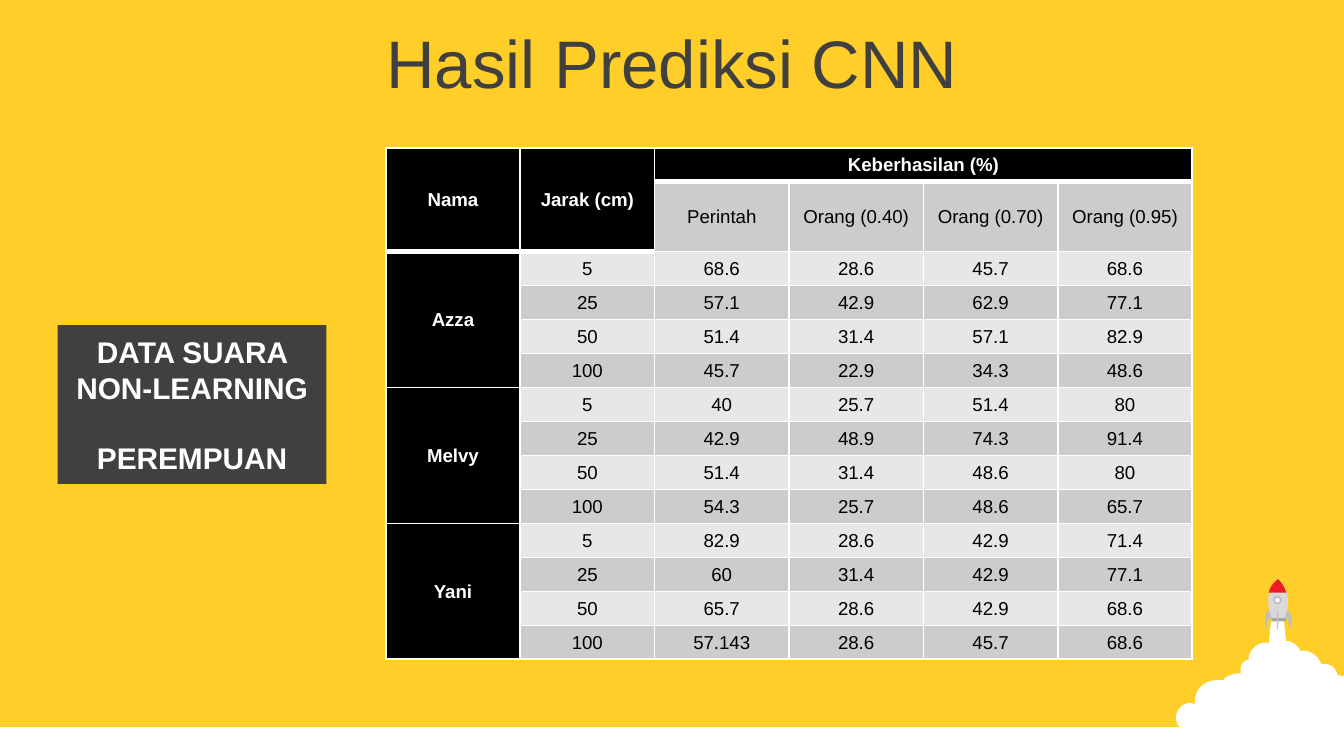
from lxml.etree import SubElement
from pptx import Presentation
from pptx.dml.color import RGBColor
from pptx.enum.shapes import MSO_SHAPE
from pptx.enum.text import MSO_ANCHOR, MSO_AUTO_SIZE, PP_ALIGN
from pptx.oxml.ns import qn
from pptx.util import Inches, Pt

COLORS = {
    "background": "FFCE29", "dark": "404040", "white": "FFFFFF", "black": "000000",
    "light_row": "E7E7E7", "dark_row": "CCCCCC", "body": "D9D9D9", "fin": "BFBFBF",
    "base": "A6A6A6", "nose": "ED1C24",
}
COLORS = {name: RGBColor.from_string(value) for name, value in COLORS.items()}


def write(paragraph, text, color, size, bold=False):
    paragraph.alignment = PP_ALIGN.CENTER
    run = paragraph.add_run()
    run.text = text
    for name, value in {"name": "Arial", "size": Pt(size), "bold": bold}.items():
        setattr(run.font, name, value)
    run.font.color.rgb = COLORS[color]


def draw(shapes, outline, color):
    """Draw a preset at (left, top, width, height), or a path of points and Bezier curves."""
    if isinstance(outline[0], tuple):
        points = []
        for step in outline:
            if len(step) == 2:
                points.append(step)
                continue
            x0, y0 = points[-1]
            x1, y1, x2, y2, x3, y3 = step
            for t in (k / 8 for k in range(1, 9)):
                a, b, c, d = (1 - t) ** 3, 3 * t * (1 - t) ** 2, 3 * t * t * (1 - t), t ** 3
                points.append((a * x0 + b * x1 + c * x2 + d * x3,
                               a * y0 + b * y1 + c * y2 + d * y3))
        points = [(round(x * unit), round(y * unit)) for x, y in points]
        builder = shapes.build_freeform(*points[0])
        builder.add_line_segments(points[1:], close=True)
        shape = builder.convert_to_shape()
    else:
        preset, *box = outline
        shape = shapes.add_shape(preset, *(round(value * unit) for value in box))
    shape.shadow.inherit = False
    shape.fill.solid()
    shape.fill.fore_color.rgb = COLORS[color]
    shape.line.fill.background()
    return shape


# Slide, on a square grid of 100 columns by 56.25 rows
presentation = Presentation()
presentation.slide_width = Inches(10)
presentation.slide_height = round(presentation.slide_width * 0.5625)
unit = presentation.slide_width / 100
slide = presentation.slides.add_slide(presentation.slide_layouts[5])
slide.background.fill.solid()
slide.background.fill.fore_color.rgb = COLORS["background"]

# Ground and cloud
draw(slide.shapes, (MSO_SHAPE.RECTANGLE, 0, 54.1, 100, 2.15), "white")
cloud = [
    (94.6, 45.9), (95.5, 45.9), (95.7, 47.7), (95.9, 47.7),
    (96.2, 47.8, 96.5, 48, 96.7, 48.3), (96.8, 48.5), (96.9, 48.4),
    (97.5, 48.4, 98.1, 48.8, 98.3, 49.4), (98.6, 49.4),
    (99, 49.4, 99.4, 49.7, 99.5, 50.2), (99.8, 50.3), (100, 50.3),
    (100, 56.1), (93.4, 56.1), (92.3, 56.1, 91.7, 55.6, 91.3, 55.1),
    (89.3, 54.5), (89.2, 54.4), (89.1, 54.5, 88.9, 54.5, 88.6, 54.5),
    (88, 54.5, 87.5, 54, 87.5, 53.4), (87.5, 52.8, 88, 52.3, 88.6, 52.3),
    (88.9, 52.4), (88.9, 52.2), (88.9, 51.3, 89.6, 50.6, 90.6, 50.6),
    (91, 50.6), (91.1, 50.5), (91.4, 50.2, 91.8, 50.1, 92.3, 50.1),
    (92.3, 49.8), (92.3, 49.5, 92.5, 49.2, 92.8, 49.1), (92.9, 49.1),
    (92.9, 48.9), (93, 48.3, 93.6, 47.8, 94.2, 47.8), (94.4, 47.9),
]
draw(slide.shapes, cloud, "white")

# Rocket: body, base, nose, window, middle fin
rocket_body = [(94.6, 46.2), (94.4, 45.3, 94, 44, 95.1, 43.1),
               (96.2, 44.1, 95.8, 45.4, 95.6, 46.2)]
nose = [(95.1, 43.1), (95.4, 43.4, 95.6, 43.7, 95.7, 44.1), (94.4, 44.1),
        (94.5, 43.7, 94.7, 43.4, 95.1, 43.1)]
draw(slide.shapes, rocket_body, "body")
draw(slide.shapes, (MSO_SHAPE.RECTANGLE, 94.6, 46, 1.1, 0.25), "base")
draw(slide.shapes, nose, "nose")
window = draw(slide.shapes, (MSO_SHAPE.OVAL, 94.8, 44.4, 0.5, 0.5), "white")
window.line.color.rgb = COLORS["fin"]
window.line.width = Pt(1)
draw(slide.shapes, (MSO_SHAPE.RECTANGLE, 95, 45.5, 0.1, 1.3), "fin")

# Side fins, mirrored about the rocket's axis
left_fin = [(94.4, 45.4), (94.6, 45.9), (94.2, 46.1, 94.3, 46.6, 94.2, 46.8),
            (94.1, 46.5, 94, 45.7, 94.4, 45.4)]
right_fin = [tuple(190.2 - value if k % 2 == 0 else value for k, value in enumerate(step))
             for step in left_fin]
for fin in (left_fin, right_fin):
    draw(slide.shapes, fin, "fin")

# Title
title = slide.shapes.title
title_box = {"left": 0, "top": 1.4, "width": 100, "height": 6.3}
for name, value in title_box.items():
    setattr(title, name, round(value * unit))
title.text_frame.vertical_anchor = MSO_ANCHOR.MIDDLE
title.text_frame.auto_size = MSO_AUTO_SIZE.NONE
write(title.text_frame.paragraphs[0], "Hasil Prediksi CNN", "dark", 36)

# Label
label = draw(slide.shapes, (MSO_SHAPE.RECTANGLE, 4.3, 24.2, 20, 11.8), "dark")
frame = label.text_frame
frame.word_wrap = True
frame.vertical_anchor = MSO_ANCHOR.MIDDLE
write(frame.paragraphs[0], "DATA SUARA NON-LEARNING", "white", 16, True)
paragraph = frame.add_paragraph()
paragraph.space_before = Pt(18.4)
write(paragraph, "PEREMPUAN", "white", 16, True)

# Table content
results = {
    "Azza": [("68.6", "28.6", "45.7", "68.6"), ("57.1", "42.9", "62.9", "77.1"),
             ("51.4", "31.4", "57.1", "82.9"), ("45.7", "22.9", "34.3", "48.6")],
    "Melvy": [("40", "25.7", "51.4", "80"), ("42.9", "48.9", "74.3", "91.4"),
              ("51.4", "31.4", "48.6", "80"), ("54.3", "25.7", "48.6", "65.7")],
    "Yani": [("82.9", "28.6", "42.9", "71.4"), ("60", "31.4", "42.9", "77.1"),
             ("65.7", "28.6", "42.9", "68.6"), ("57.143", "28.6", "45.7", "68.6")],
}
distances = ("5", "25", "50", "100")
rows = [("Nama", "Jarak (cm)", "Keberhasilan (%)", "", "", ""),
        ("", "", "Perintah", "Orang (0.40)", "Orang (0.70)", "Orang (0.95)")]
for person, scores in results.items():
    for k, (distance, score) in enumerate(zip(distances, scores)):
        rows.append((person if k == 0 else "", distance, *score))

# Table grid and merged cells
heights = [2.53, 5.2] + [2.53] * 12
table_box = (28.7, 11, 60, sum(heights))
table = slide.shapes.add_table(len(rows), 6, *(round(v * unit) for v in table_box)).table
for column in table.columns:
    column.width = round(10 * unit)
for row, height in zip(table.rows, heights):
    row.height = round(height * unit)
merges = [(0, 0, 1, 0), (0, 1, 1, 1), (0, 2, 0, 5)] + [(r, 0, r + 3, 0) for r in (2, 6, 10)]
for top, left, bottom, right in merges:
    table.cell(top, left).merge(table.cell(bottom, right))

# Table cells
cell_format = {"margin_left": Inches(0.07), "margin_right": Inches(0.07), "margin_top": 0,
               "margin_bottom": 0, "vertical_anchor": MSO_ANCHOR.MIDDLE}
for r, row in enumerate(rows):
    for c, text in enumerate(row):
        cell = table.cell(r, c)
        for name, value in cell_format.items():
            setattr(cell, name, value)
        header_end = 1 if c < 2 else 0
        is_header = c == 0 or r <= header_end
        widths = {"lnL": 1, "lnR": 1, "lnT": 3 if r == header_end + 1 else 1,
                  "lnB": 3 if r <= header_end else 1}
        properties = cell._tc.get_or_add_tcPr()
        for side, width in widths.items():
            line = SubElement(properties, qn(f"a:{side}"), w=str(Pt(width)))
            fill = SubElement(line, qn("a:solidFill"))
            SubElement(fill, qn("a:srgbClr"), val=str(COLORS["white"]))
        cell.fill.solid()
        band = "dark_row" if r % 2 else "light_row"
        cell.fill.fore_color.rgb = COLORS["black" if is_header else band]
        if text:
            paragraph = cell.text_frame.paragraphs[0]
            paragraph.line_spacing = 1.07
            write(paragraph, text, "white" if is_header else "black", 10, is_header)

presentation.save("out.pptx")
